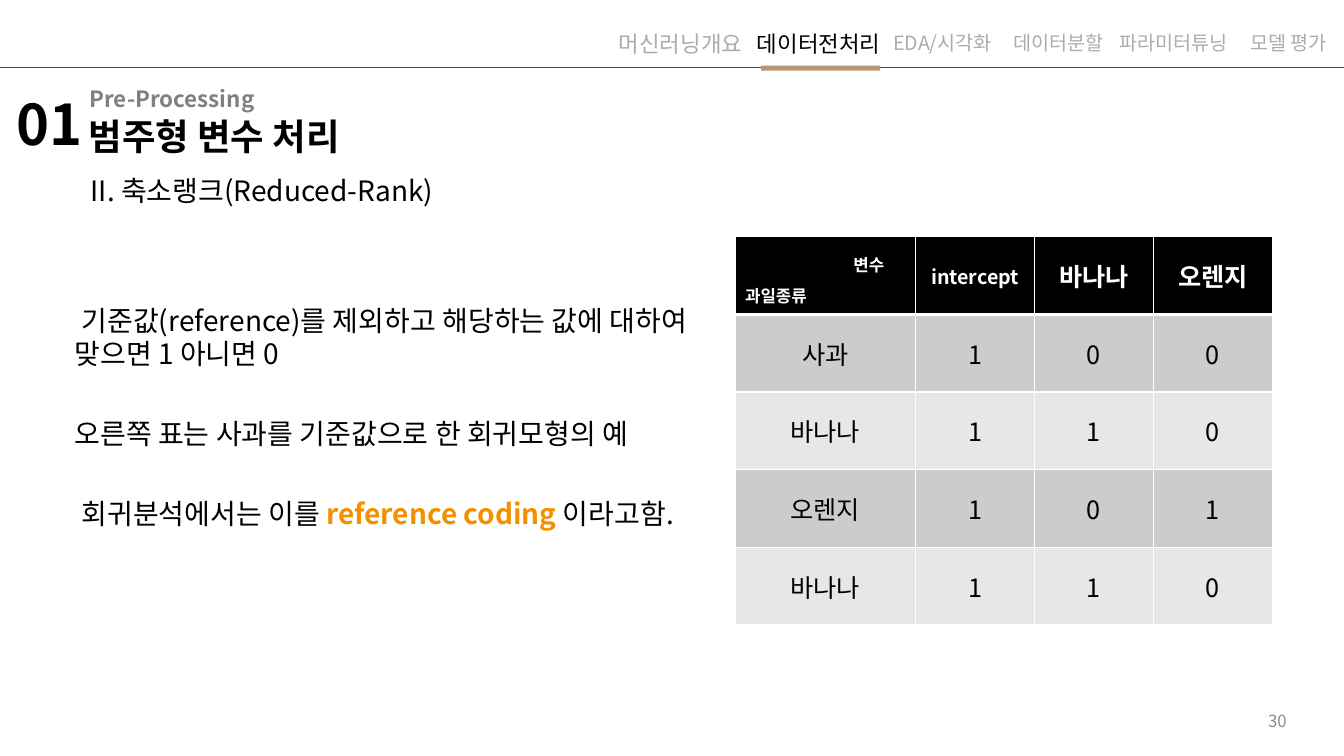
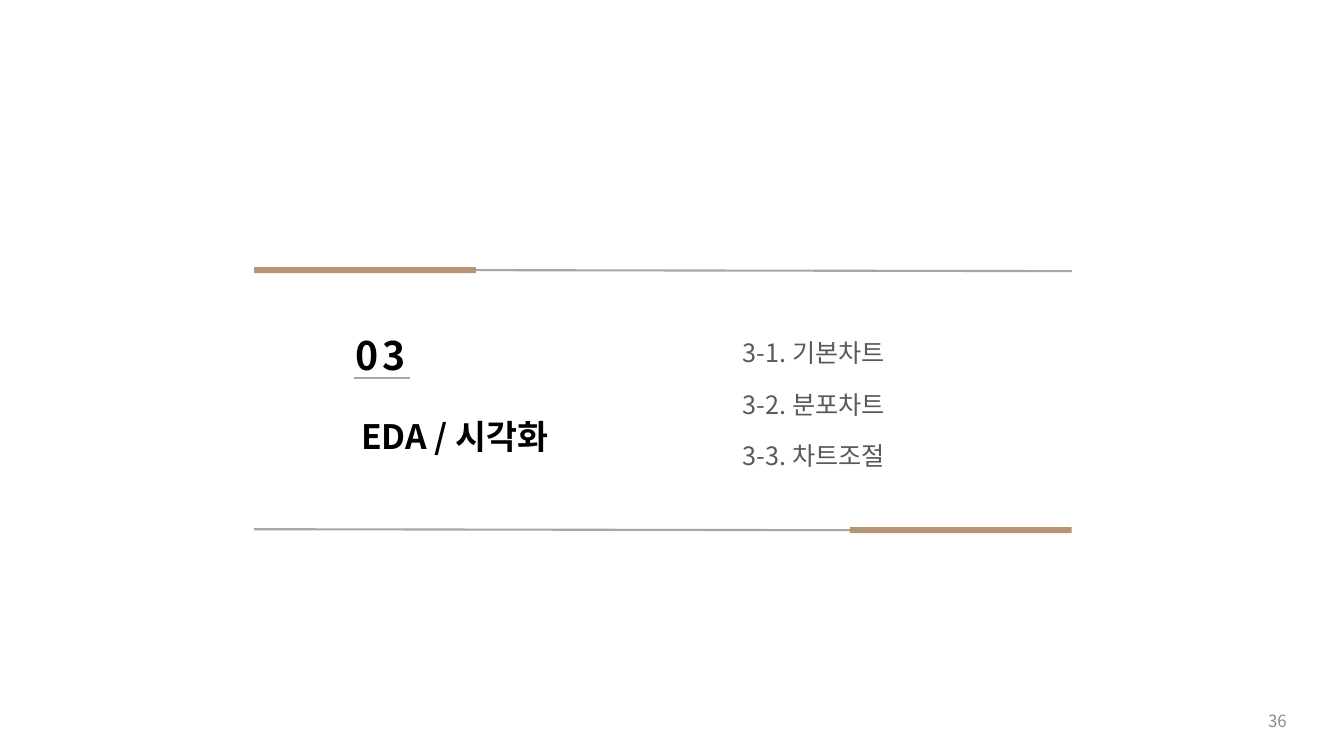
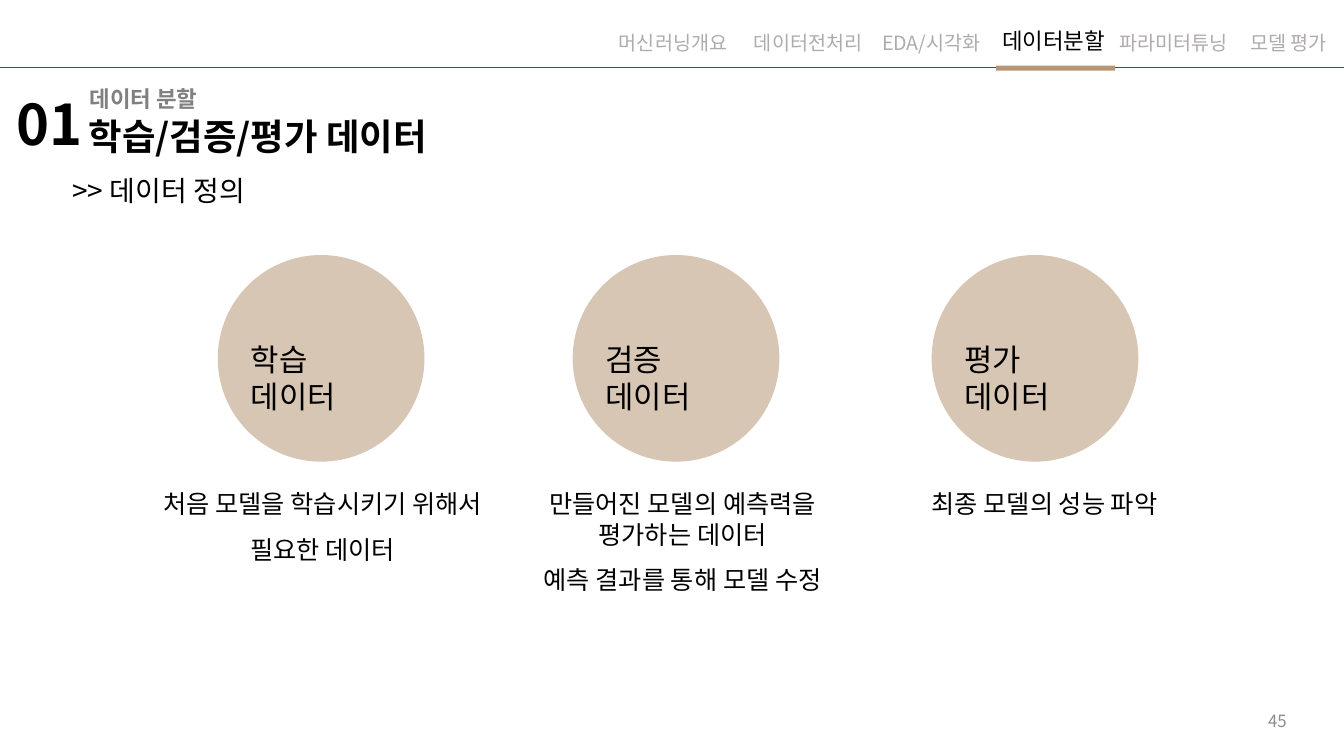
from lxml import etree
from pptx import Presentation
from pptx.dml.color import RGBColor
from pptx.enum.shapes import MSO_CONNECTOR, MSO_SHAPE
from pptx.enum.text import MSO_ANCHOR, PP_ALIGN
from pptx.oxml.ns import qn
from pptx.util import Inches, Pt

STRAIGHT = MSO_CONNECTOR.STRAIGHT
RECTANGLE, OVAL = MSO_SHAPE.RECTANGLE, MSO_SHAPE.OVAL
MIDDLE = MSO_ANCHOR.MIDDLE
LEFT, CENTER, RIGHT = PP_ALIGN.LEFT, PP_ALIGN.CENTER, PP_ALIGN.RIGHT

FONT = "Noto Sans CJK KR"
BLACK = RGBColor(0x00, 0x00, 0x00)
WHITE = RGBColor(0xFF, 0xFF, 0xFF)
TAN = RGBColor(0xB7, 0x96, 0x75)
BROWN = RGBColor(0x84, 0x3C, 0x0B)
ORANGE = RGBColor(0xF2, 0x90, 0x00)
NAV_GRAY = RGBColor(0xAF, 0xAB, 0xAB)
TITLE_GRAY = RGBColor(0x80, 0x80, 0x80)
RULE_GRAY = RGBColor(0xA6, 0xA6, 0xA6)
LIST_GRAY = RGBColor(0x59, 0x59, 0x59)
NUMBER_GRAY = RGBColor(0x8C, 0x8C, 0x8C)
DARK_ROW = RGBColor(0xCC, 0xCC, 0xCC)
LIGHT_ROW = RGBColor(0xE7, 0xE7, 0xE7)


def write(frame, paragraphs, size, color=BLACK, bold=False, **layout):
    """Fill a frame; a paragraph is a string or a list of (text, font changes)."""
    for index, spans in enumerate(paragraphs):
        para = frame.paragraphs[0] if index == 0 else frame.add_paragraph()
        for name, value in layout.items():
            if name != "space_before" or index > 0:
                setattr(para, name, value)
        if isinstance(spans, str):
            spans = [(spans, {})]
        for text, changes in spans:
            span = para.add_run()
            span.text = text
            look = {"color": color, "bold": bold, **changes}
            span.font.size = Pt(size)
            span.font.bold = look["bold"]
            span.font.color.rgb = look["color"]
            span.font.name = FONT
            etree.SubElement(span.font._element, qn("a:ea"), typeface=FONT)


def add_text(page, place, paragraphs, size, **style):
    box = page.shapes.add_textbox(*map(Inches, place))
    box.text_frame.word_wrap = True
    write(box.text_frame, paragraphs, size, **style)
    return box.text_frame


deck = Presentation()
deck.slide_width, deck.slide_height = Inches(13.33), Inches(7.5)
rank_page, section_page, split_page = pages = [
    deck.slides.add_slide(deck.slide_layouts[6]) for _ in range(3)]
tan_shapes, rules = [], []

# Page numbers
for page, number in zip(pages, ("30", "36", "45")):
    frame = add_text(page, (9.86, 6.95, 3, 0.4), [number], 12,
                     color=NUMBER_GRAY, alignment=RIGHT)
    frame.vertical_anchor = MIDDLE

# Navigation band and titles of the content pages
NAV = [("머신러닝개요", 1.6), ("데이터전처리", 1.5), ("EDA/시각화", 1.31),
       ("데이터분할", 1.38), ("파라미터튜닝", 1.41), ("모델 평가", 1.1)]
CONTENT = [
    dict(page=rank_page, active=1, large=(0, 1), large_top=0.25, marker=7.55,
         lefts=(6.04, 7.41, 8.76, 9.95, 11, 12.3),
         topic="Pre-Processing", title="범주형 변수 처리",
         subtitle="II. 축소랭크(Reduced-Rank)", subtitle_left=0.8),
    dict(page=split_page, active=3, large=(3,), large_top=0.22, marker=9.88,
         lefts=(6.04, 7.38, 8.65, 9.84, 11, 12.3),
         topic="데이터 분할", title="학습/검증/평가 데이터",
         subtitle=">> 데이터 정의", subtitle_left=0.62),
]
for content in CONTENT:
    page = content["page"]
    band_line = page.shapes.add_connector(
        STRAIGHT, 0, Inches(0.67), deck.slide_width, Inches(0.67))
    rules.append((band_line, BROWN, 0.75))
    tan_shapes.append(page.shapes.add_shape(
        RECTANGLE, Inches(content["marker"]), Inches(0.65), Inches(1.18), Inches(0.05)))
    for index, ((label, width), left) in enumerate(zip(NAV, content["lefts"])):
        large = index in content["large"]
        add_text(page, (left, content["large_top"] if large else 0.26, width, 0.35),
                 [label], 16 if large else 14,
                 color=BLACK if index == content["active"] else NAV_GRAY)
    add_text(page, (0.07, 0.84, 0.88, 0.77), ["01"], 40, bold=True)
    add_text(page, (0.79, 0.8, 3.54, 0.4), [content["topic"]], 16,
             color=TITLE_GRAY, bold=True)
    add_text(page, (0.78, 1.08, 4.1, 0.54), [content["title"]], 26, bold=True)
    add_text(page, (content["subtitle_left"], 1.67, 3.85, 0.44),
             [content["subtitle"]], 20)

# Reduced rank: explanation
explanation = add_text(rank_page, (0.64, 2.96, 6.52, 3.76), [
    "기준값(reference)를 제외하고 해당하는 값에 대하여 맞으면 1 아니면 0",
    "오른쪽 표는 사과를 기준값으로 한 회귀모형의 예",
    [("회귀분석에서는 이를 ", {}),
     ("reference coding ", {"color": ORANGE, "bold": True}),
     ("이라고함.", {})],
], 20, space_before=Pt(33))
for index in (0, 2):
    properties = explanation.paragraphs[index]._p.get_or_add_pPr()
    properties.set("indent", str(Inches(0.07)))

# Reduced rank: coding table
ROWS = [("", "intercept", "바나나", "오렌지"),
        ("사과", "1", "0", "0"),
        ("바나나", "1", "1", "0"),
        ("오렌지", "1", "0", "1"),
        ("바나나", "1", "1", "0")]
table = rank_page.shapes.add_table(
    5, 4, Inches(7.29), Inches(2.35), Inches(5.33), Inches(3.85)).table
for column, width in zip(table.columns, (1.79, 1.18, 1.18, 1.18)):
    column.width = Inches(width)
for row_index, values in enumerate(ROWS):
    header = row_index == 0
    table.rows[row_index].height = Inches(0.77)
    for column_index, value in enumerate(values):
        cell = table.cell(row_index, column_index)
        cell.vertical_anchor = MIDDLE
        # Borders come before the fill in the cell properties
        for side in ("lnL", "lnR", "lnT", "lnB"):
            thick = (header and side == "lnB") or (row_index == 1 and side == "lnT")
            border = etree.SubElement(cell._tc.get_or_add_tcPr(), qn("a:" + side),
                                      w=str(Pt(3 if thick else 1)))
            paint = etree.SubElement(border, qn("a:solidFill"))
            etree.SubElement(paint, qn("a:srgbClr"), val=str(WHITE))
        cell.fill.solid()
        cell.fill.fore_color.rgb = (
            BLACK if header else DARK_ROW if row_index % 2 else LIGHT_ROW)
        if value:
            write(cell.text_frame, [value], 14 if value == "intercept" else 18,
                  color=WHITE if header else BLACK, bold=header, alignment=CENTER)
corner = table.cell(0, 0)
corner.margin_top, corner.margin_right = Inches(0.13), Inches(0.31)
write(corner.text_frame, ["변수", "과일종류"], 12, color=WHITE, bold=True,
      space_before=Pt(5))
for para, alignment in zip(corner.text_frame.paragraphs, (RIGHT, LEFT)):
    para.alignment = alignment

# Section page: bars and rules
top_bar, bottom_bar = [
    section_page.shapes.add_shape(
        RECTANGLE, Inches(left), Inches(top), Inches(2.2), Inches(0.06))
    for left, top in ((2.52, 2.65), (8.43, 5.23))]
tan_shapes += [top_bar, bottom_bar]
top_rule, bottom_rule, number_rule = [
    section_page.shapes.add_connector(STRAIGHT, *map(Inches, ends))
    for ends in ((4.72, 2.68, 10.63, 2.69), (2.52, 5.25, 8.43, 5.26),
                 (3.51, 3.75, 4.07, 3.75))]
top_rule.begin_connect(top_bar, 3)
bottom_rule.end_connect(bottom_bar, 1)
rules += [(rule, RULE_GRAY, 1.5) for rule in (top_rule, bottom_rule, number_rule)]

# Section page: number, title and contents
section_number = add_text(section_page, (3.43, 3.24, 0.8, 0.57), ["03"], 28, bold=True)
section_number.word_wrap = False
section_number.paragraphs[0].runs[0].font._element.set("spc", "300")
add_text(section_page, (3.35, 3.88, 2.32, 0.66), ["EDA / 시각화"], 24,
         bold=True, alignment=CENTER, line_spacing=1.5)
add_text(section_page, (7.27, 3.09, 3.22, 1.58),
         ["3-1. 기본차트", "3-2. 분포차트", "3-3. 차트조절"], 18,
         color=LIST_GRAY, line_spacing=1.7)

# Data split: circles with labels and captions
SETS = [
    (2.16, "학습 데이터", 1.5, 3.4, ["처음 모델을 학습시키기 위해서 필요한 데이터"]),
    (5.68, "검증 데이터", 5.13, 3.28,
     ["만들어진 모델의 예측력을", "평가하는 데이터", "예측 결과를 통해 모델 수정"]),
    (9.24, "평가 데이터", 8.72, 3.28, ["최종 모델의 성능 파악"]),
]
circles = []
for left, label, caption_left, caption_width, caption in SETS:
    circles.append(split_page.shapes.add_shape(
        OVAL, Inches(left), Inches(2.53), Inches(2.05), Inches(2.05)))
    add_text(split_page, (left + 0.23, 3.33, 1.6, 0.47), [label], 22)
    frame = add_text(split_page, (caption_left, 4.65, caption_width, 0.96), caption,
                     18, alignment=CENTER, line_spacing=1.5)
    if len(caption) > 1:
        frame.paragraphs[1].line_spacing = 1.0

# Shared look of shapes and lines
for shape in tan_shapes + circles:
    shape.shadow.inherit = False
    shape.fill.solid()
    shape.fill.fore_color.rgb = TAN
    shape.line.fill.background()
for circle in circles:
    tint = circle._element.spPr.find(qn("a:solidFill"))[0]
    etree.SubElement(tint, qn("a:alpha"), val="54000")
for rule, color, width in rules:
    rule.line.color.rgb = color
    rule.line.width = Pt(width)
    etree.SubElement(rule._element.spPr, qn("a:effectLst"))

deck.save("out.pptx")
